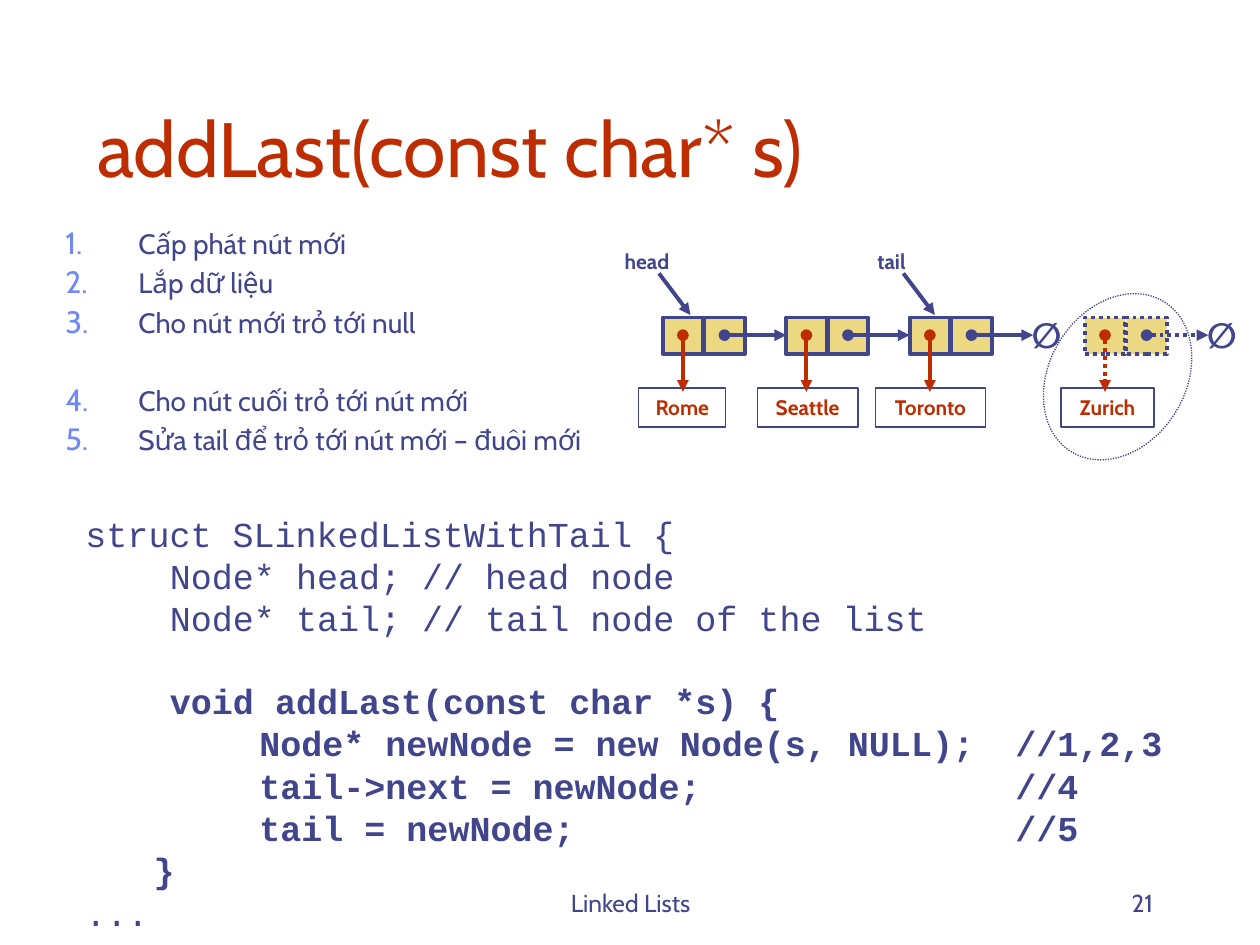
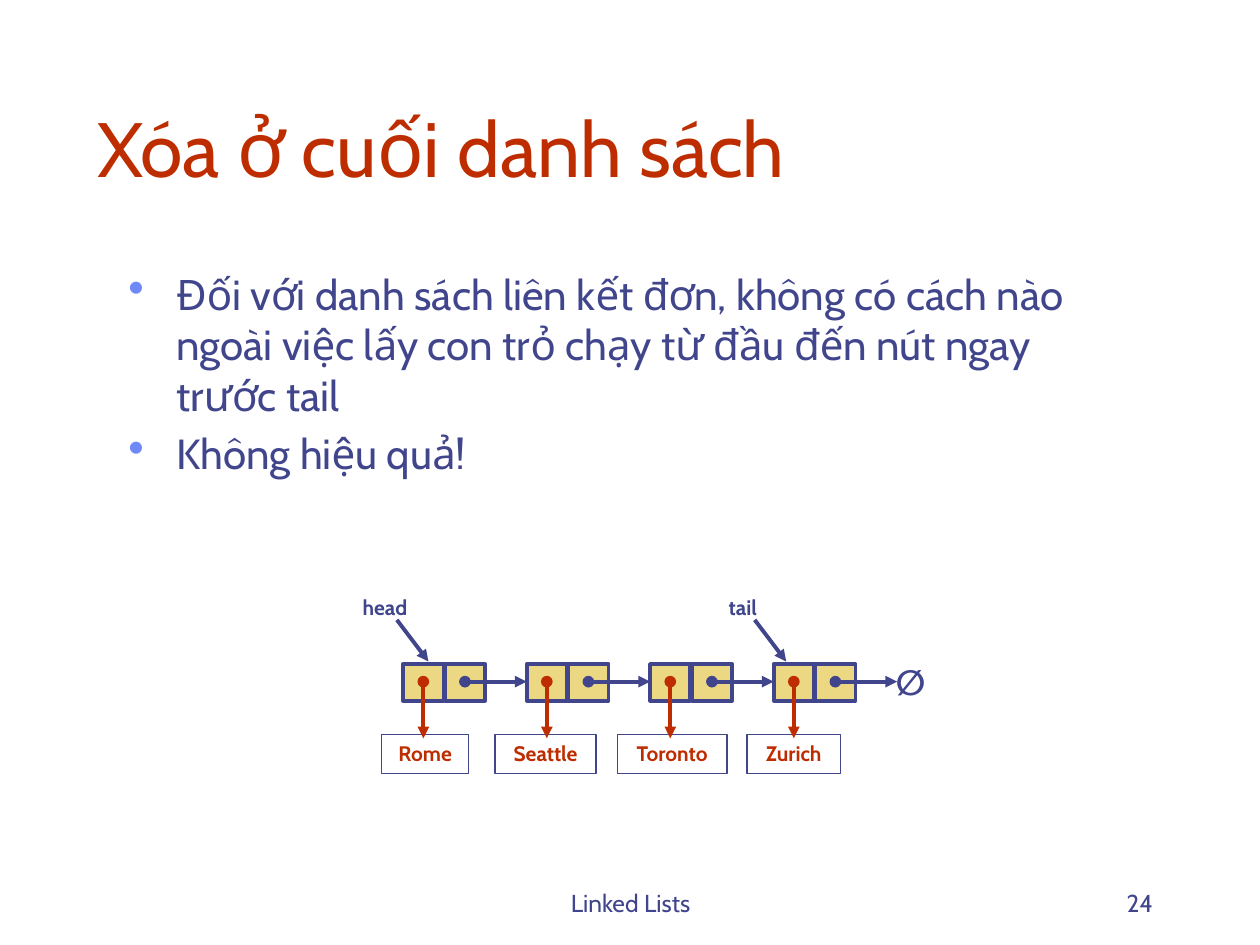
"""Builds two slides on adding to and removing from the end of a linked list."""
from lxml.etree import SubElement
from pptx import Presentation
from pptx.dml.color import RGBColor
from pptx.enum.dml import MSO_LINE
from pptx.enum.shapes import MSO_CONNECTOR, MSO_SHAPE
from pptx.enum.text import MSO_ANCHOR, MSO_AUTO_SIZE, PP_ALIGN
from pptx.oxml.ns import qn
from pptx.util import Inches, Pt

INDIGO = RGBColor(0x40, 0x45, 0x8C)
RED = RGBColor(0xBE, 0x2D, 0x00)
SAND = RGBColor(0xEC, 0xD8, 0x82)
SKY = RGBColor(0x6F, 0x89, 0xF7)

NODE_PITCH = 0.98
CELL_PITCH = 0.33
CITY_WIDTHS = {"Rome": 0.69, "Seattle": 0.8, "Toronto": 0.87, "Zurich": 0.74}
COMMENT_STOP = 7.38

STEPS = [
    "Cấp phát nút mới",
    "Lắp dữ liệu",
    "Cho nút mới trỏ tới null",
    "Cho nút cuối trỏ tới nút mới",
    "Sửa tail để trỏ tới nút mới – đuôi mới",
]
POINTS = [
    "Đối với danh sách liên kết đơn, không có cách nào ngoài việc lấy con trỏ "
    "chạy từ đầu đến nút ngay trước tail",
    "Không hiệu quả!",
]
CODE = [
    (0, "struct SLinkedListWithTail {", False),
    (0.67, "Node* head; // head node", False),
    (0.67, "Node* tail; // tail node of the list", False),
    (0.67, "void addLast(const char *s) {", True),
    (1.38, "Node* newNode = new Node(s, NULL);\t//1,2,3", True),
    (1.38, "tail->next = newNode;\t//4", True),
    (1.38, "tail = newNode;\t//5", True),
    (0.54, "}", True),
    (0, "...", False),
]


class SlideBuilder:
    """Holds the deck's style and the slide being filled."""

    def __init__(self):
        self.deck = Presentation()
        self.deck.slide_width, self.deck.slide_height = Inches(10), Inches(7.5)
        self.page = None

    def start(self, title, number):
        """Opens a slide with its title and footer."""
        self.page = self.deck.slides.add_slide(self.deck.slide_layouts[5])
        box = self.page.shapes.title
        box.left, box.top = Inches(0.67), Inches(0.33)
        box.width, box.height = Inches(8.5), Inches(1.25)
        frame = box.text_frame
        frame.auto_size = MSO_AUTO_SIZE.NONE
        frame.vertical_anchor = MSO_ANCHOR.BOTTOM
        frame.paragraphs[0].alignment = PP_ALIGN.LEFT
        self.span(frame.paragraphs[0], title, 44, RED)
        self.footer(3.42, 3.17, "Linked Lists", PP_ALIGN.CENTER)
        self.footer(7.17, 2.08, str(number), PP_ALIGN.RIGHT)

    def span(self, para, text, size, color=INDIGO, bold=False, font="Cabin"):
        """Adds one formatted run."""
        run = para.add_run()
        run.text = text
        run.font.name, run.font.size, run.font.bold = font, Pt(size), bold
        run.font.color.rgb = color

    def text_box(self, left, top, width, height, wrap=True):
        """Adds an empty text box and returns its frame."""
        box = self.page.shapes.add_textbox(
            Inches(left), Inches(top), Inches(width), Inches(height))
        box.text_frame.word_wrap = wrap
        return box.text_frame

    def footer(self, left, width, text, alignment):
        """Adds a footer entry."""
        frame = self.text_box(left, 6.83, width, 0.5)
        frame.vertical_anchor = MSO_ANCHOR.BOTTOM
        frame.paragraphs[0].alignment = alignment
        self.span(frame.paragraphs[0], text, 14)

    def label(self, left, top, width, height, text, size):
        """Adds a bold centred label."""
        para = self.text_box(left, top, width, height, False).paragraphs[0]
        para.alignment = PP_ALIGN.CENTER
        self.span(para, text, size, bold=True)

    def paragraphs(self, frame, count):
        """Yields the given number of paragraphs of a new frame."""
        yield frame.paragraphs[0]
        for _ in range(count - 1):
            yield frame.add_paragraph()

    def bullets(self, frame, items, size, indent, mark, gaps=None):
        """Fills a frame with marked items; gaps gives extra points before some."""
        for index, para in enumerate(self.paragraphs(frame, len(items))):
            para.space_before = Pt(size * 0.2 + (gaps or {}).get(index, 0))
            props = para._p.get_or_add_pPr()
            props.set("marL", str(Inches(indent)))
            props.set("indent", str(-Inches(indent)))
            color = SubElement(props, qn("a:buClr"))
            SubElement(color, qn("a:srgbClr"), val=str(SKY))
            SubElement(props, qn("a:buSzPct"), val="110000")
            if mark:
                SubElement(props, qn("a:buChar"), char=mark)
            else:
                SubElement(props, qn("a:buAutoNum"), type="arabicPeriod")
            self.span(para, items[index], size)

    def code(self, frame, lines, gaps):
        """Fills a frame with code, indented and aligned by tab stops."""
        pairs = zip(lines, self.paragraphs(frame, len(lines)))
        for index, ((indent, text, bold), para) in enumerate(pairs):
            para.line_spacing = 0.8
            para.space_before = Pt(5 + gaps.get(index, 0))
            stops = SubElement(para._p.get_or_add_pPr(), qn("a:tabLst"))
            for stop in filter(None, (indent, COMMENT_STOP)):
                SubElement(stops, qn("a:tab"), pos=str(Inches(stop)), algn="l")
            lead = "\t" if indent else ""
            self.span(para, lead + text, 20, bold=bold, font="Courier New")

    def shape(self, kind, left, top, width, height, weight, fill=None, dotted=False):
        """Adds an outlined shape."""
        shape = self.page.shapes.add_shape(
            kind, Inches(left), Inches(top), Inches(width), Inches(height))
        shape.shadow.inherit = False
        if fill is None:
            shape.fill.background()
        else:
            shape.fill.solid()
            shape.fill.fore_color.rgb = fill
        self.outline(shape.line, INDIGO, weight, dotted)
        return shape

    def outline(self, line, color, weight, dotted):
        """Formats a line."""
        line.color.rgb = color
        line.width = Pt(weight)
        if dotted:
            line.dash_style = MSO_LINE.ROUND_DOT

    def arrow(self, start, end, color=INDIGO, dot=True, dotted=False):
        """Adds an arrow, with a dot at its start if wanted."""
        arrow = self.page.shapes.add_connector(
            MSO_CONNECTOR.STRAIGHT, *map(Inches, start + end))
        self.outline(arrow.line, color, 2.25, dotted)
        line = arrow.line._get_or_add_ln()
        if dot:
            SubElement(line, qn("a:headEnd"), type="oval")
        SubElement(line, qn("a:tailEnd"), type="triangle")
        SubElement(arrow._element.spPr, qn("a:effectLst"))

    def city(self, left, top, name):
        """Adds a framed city name."""
        box = self.shape(MSO_SHAPE.RECTANGLE, left, top, CITY_WIDTHS[name], 0.31, 0.75)
        frame = box.text_frame
        frame.word_wrap = False
        frame.vertical_anchor = MSO_ANCHOR.TOP
        frame.paragraphs[0].alignment = PP_ALIGN.CENTER
        self.span(frame.paragraphs[0], name, 12, RED, True)

    def chain(self, left, top, cities, dotted=False):
        """Adds linked nodes, their cities and the closing null sign."""
        middle = top + 0.14
        for index, (name, city_left) in enumerate(cities):
            node = left + index * NODE_PITCH
            for cell in range(2):
                self.shape(MSO_SHAPE.RECTANGLE, node + cell * CELL_PITCH, top,
                           0.32, 0.29, 2.25, SAND, dotted)
            self.city(city_left, top + 0.56, name)
            self.arrow((node + 0.16, middle), (node + 0.16, top + 0.59), RED, dotted=dotted)
            self.arrow((node + 0.49, middle), (node + NODE_PITCH, middle), dotted=dotted)
        end = left + len(cities) * NODE_PITCH
        self.label(end - 0.11, top - 0.08, 0.43, 0.43, "∅", 20)

    def pointer(self, name, left, top, width, arrow_shift):
        """Adds a named pointer arrow down to a node."""
        x, y = left + arrow_shift, top + 0.25
        self.label(left, top, width, 0.3, name, 12)
        self.arrow((x, y), (x + 0.25, y + 0.33), dot=False)

    def pointers(self, head_left, tail_left, top):
        """Adds the head and tail pointers."""
        self.pointer("head", head_left, top, 0.61, 0.4)
        self.pointer("tail", tail_left, top, 0.47, 0.33)


def add_last(builder):
    """Shows how a node is added at the end."""
    builder.start("addLast(const char* s)", 21)
    steps = builder.text_box(0.42, 1.75, 5.33, 2.58)
    builder.bullets(steps, STEPS, 16, 0.58, None, {3: 22.4})
    builder.chain(5.26, 2.52, [("Rome", 5.07), ("Seattle", 6.01), ("Toronto", 6.95)])
    builder.chain(8.61, 2.52, [("Zurich", 8.42)], dotted=True)
    ring = builder.shape(MSO_SHAPE.OVAL, 8.33, 2.29, 1.08, 1.4, 0.75, dotted=True)
    ring.rotation = 31.8
    builder.pointers(4.83, 6.84, 1.92)
    builder.code(builder.text_box(0.58, 4.08, 8.92, 4), CODE, {3: 23})


def remove_last(builder):
    """Shows why removing at the end is slow."""
    builder.start("Xóa ở cuối danh sách", 24)
    builder.bullets(builder.text_box(0.92, 2.08, 8.17, 4.5), POINTS, 24, 0.38, "•")
    builder.chain(3.2, 5.27, [
        ("Rome", 3.03), ("Seattle", 3.93), ("Toronto", 4.9), ("Zurich", 5.93)])
    builder.pointers(2.75, 5.66, 4.67)


def main():
    """Builds and saves the deck."""
    builder = SlideBuilder()
    add_last(builder)
    remove_last(builder)
    builder.deck.save("out.pptx")


if __name__ == "__main__":
    main()
